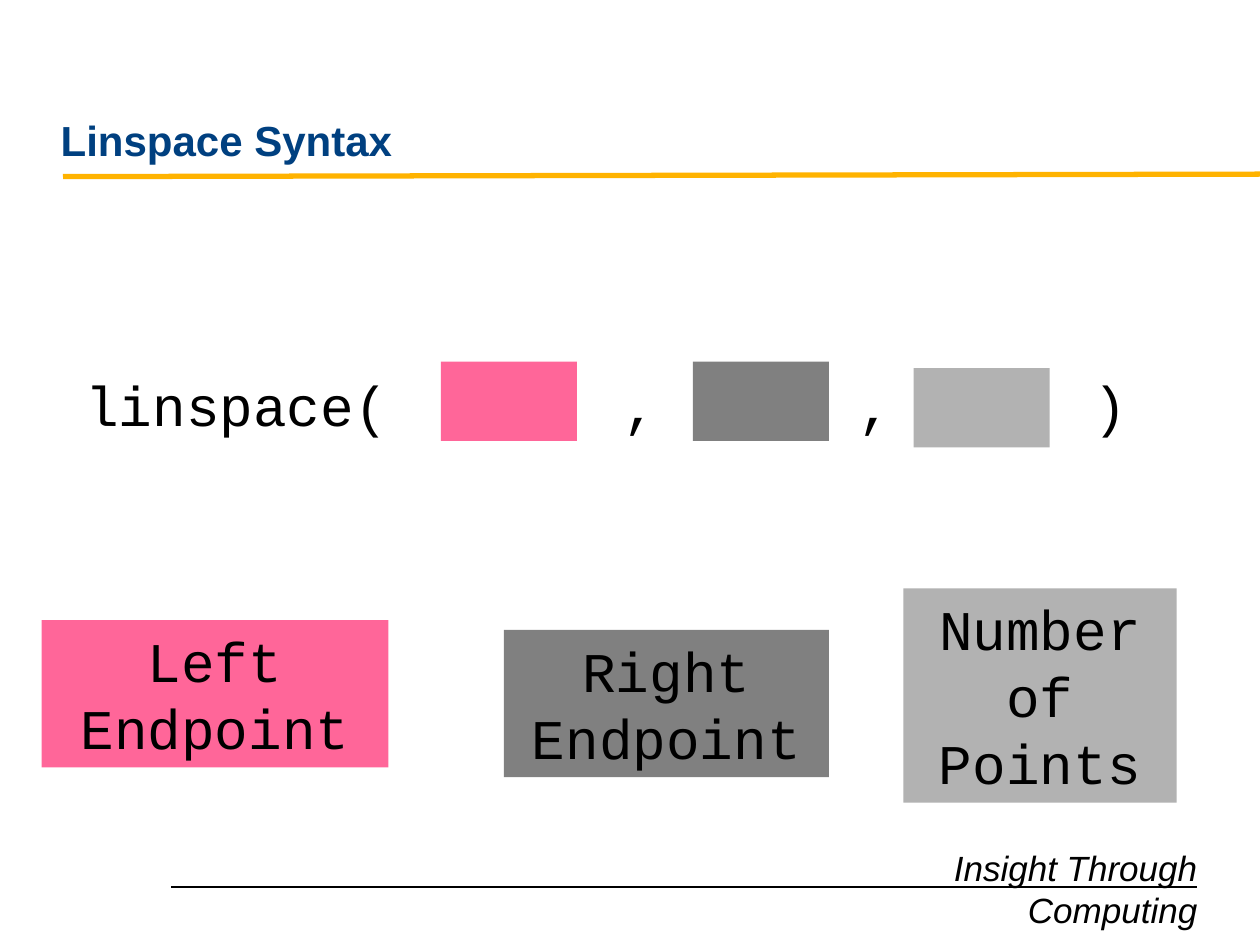
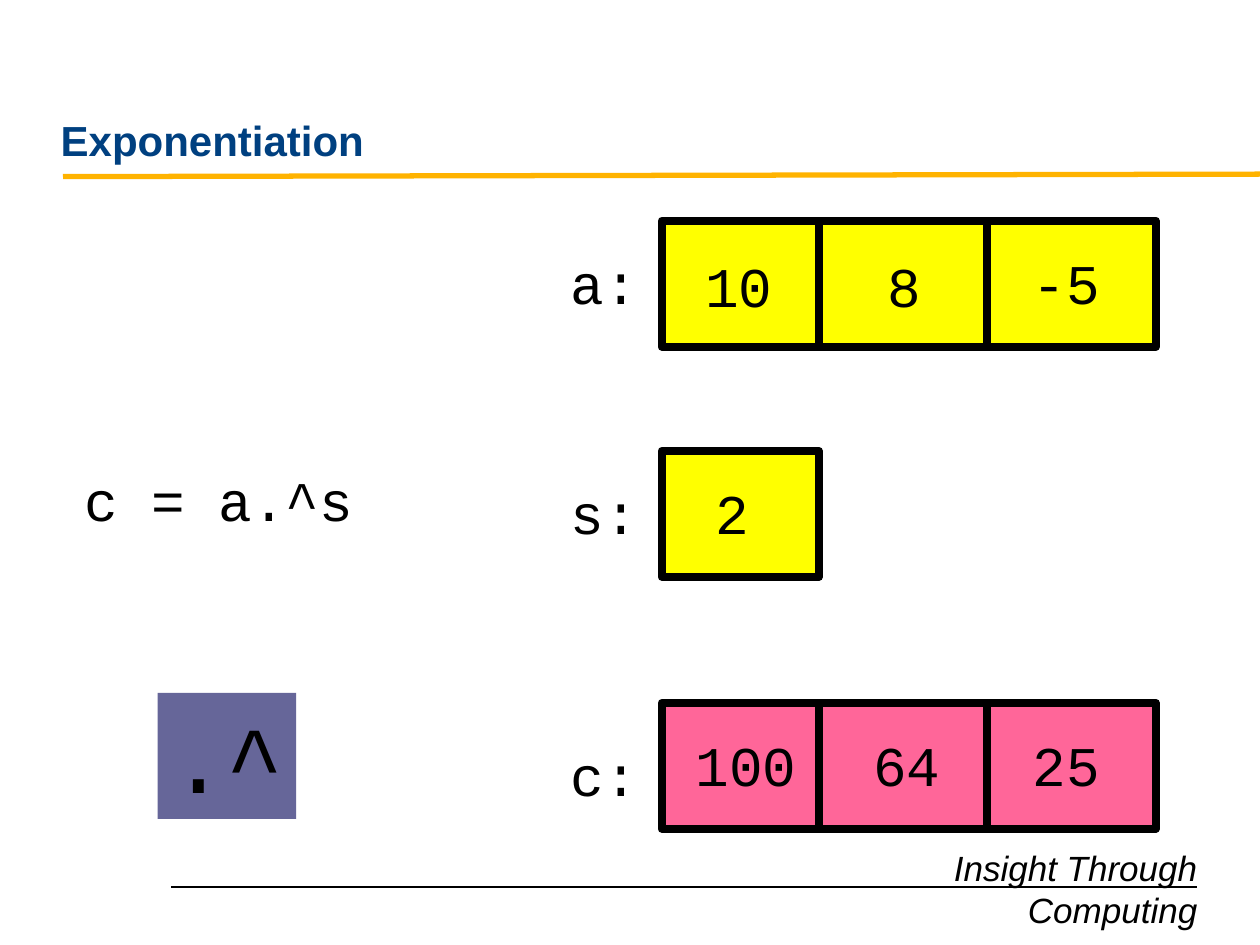
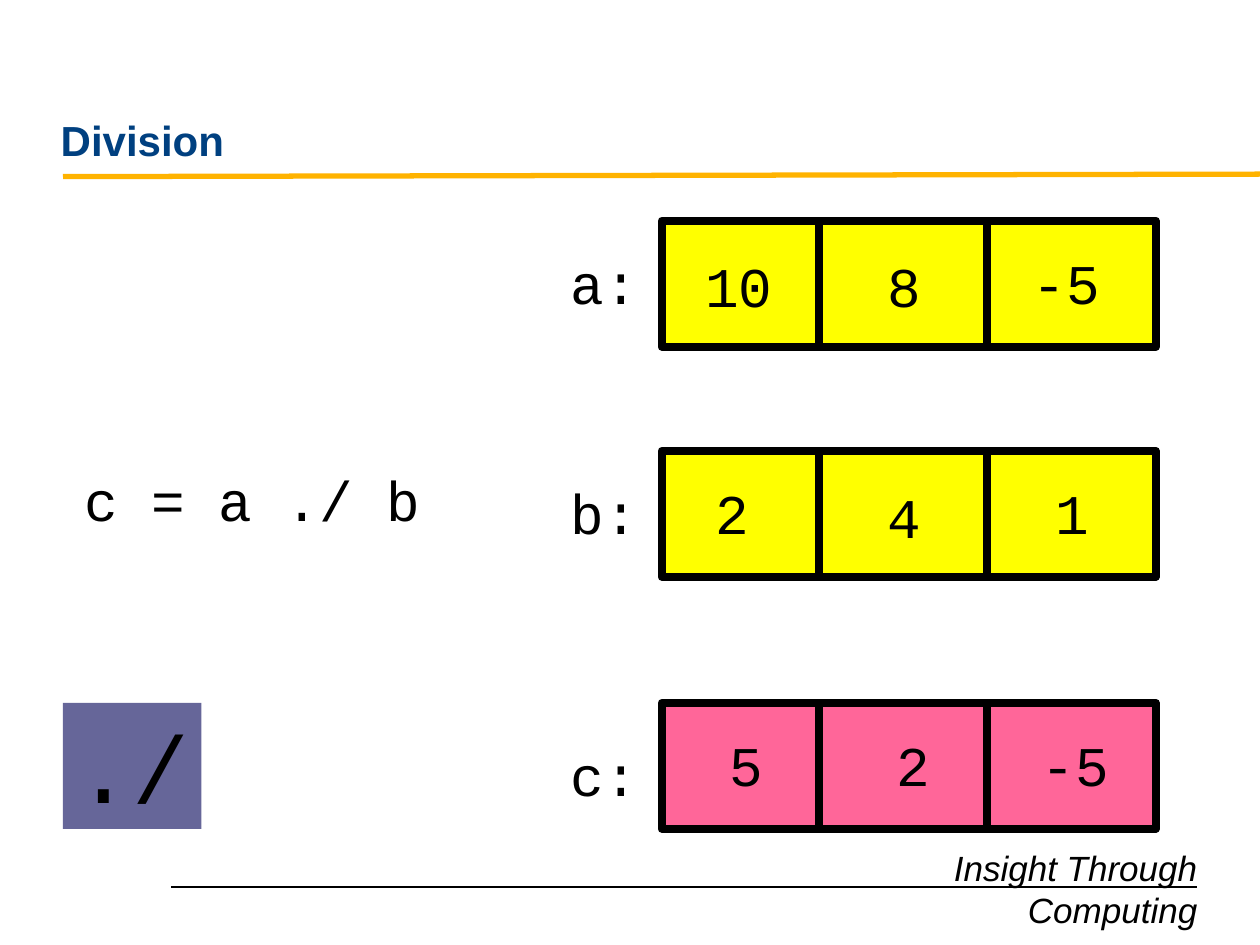
"""Build three slides on vector operations: linspace, exponentiation and division."""
import pptx
import pptx.dml.color
import pptx.enum.shapes
import pptx.enum.text
import pptx.oxml
import pptx.oxml.ns
import pptx.util
from lxml import etree

Cm = pptx.util.Cm
Pt = pptx.util.Pt
ANCHOR = pptx.enum.text.MSO_ANCHOR
ALIGN = pptx.enum.text.PP_ALIGN
COLORS = {
    name: pptx.dml.color.RGBColor.from_string(value)
    for name, value in {
        "text": "000000",
        "title": "004080",
        "band": "FFB300",
        "pink": "FF6699",
        "dark": "808080",
        "light": "B2B2B2",
        "yellow": "FFFF00",
        "operator": "666699",
    }.items()
}
CODE_FONT = "Courier New"
HEADING_FONT = "Arial"
CODE_HEIGHT = 1.6
ROW_LEFT, ROW_HEIGHT = 13.34, 2.54
CELL_EDGES = [16.51, 19.89, 23.3]


def add_box(shapes, left, top, width, height, text="", fill=None, border=None,
            size=32, font=CODE_FONT, italic=False, align=ALIGN.LEFT, wrap=True):
    """Add a text box, or a rectangle when a fill is given."""
    area = Cm(left), Cm(top), Cm(width), Cm(height)
    if fill:
        shape = shapes.add_shape(pptx.enum.shapes.MSO_SHAPE.RECTANGLE, *area)
        shape.shadow.inherit = False
        shape.fill.solid()
        shape.fill.fore_color.rgb = COLORS[fill]
        if border:
            shape.line.color.rgb = COLORS["text"]
            shape.line.width = Pt(border)
        else:
            shape.line.fill.background()
    else:
        shape = shapes.add_textbox(*area)
    if text:
        shape.text_frame.word_wrap = wrap
        shape.text_frame.vertical_anchor = ANCHOR.TOP
        paragraph = shape.text_frame.paragraphs[0]
        paragraph.alignment = align
        run = paragraph.add_run()
        run.text = text
        run.font.name = font
        run.font.size = Pt(size)
        run.font.italic = italic
        run.font.color.rgb = COLORS["text"]
    return shape


def add_line(shapes, start, end, color, width):
    """Add a straight line without a shadow."""
    line = shapes.add_connector(
        pptx.enum.shapes.MSO_CONNECTOR.STRAIGHT, *map(Cm, start + end))
    line.line.color.rgb = COLORS[color]
    line.line.width = Pt(width)
    etree.SubElement(line._element.spPr, pptx.oxml.ns.qn("a:effectLst"))


presentation = pptx.Presentation()
presentation.slide_width = Cm(25.4)
presentation.slide_height = Cm(19.05)

slides = []
for heading in ["Linspace Syntax", "Exponentiation", "Division"]:
    slide = presentation.slides.add_slide(presentation.slide_layouts[5])
    slides.append(slide)
    add_line(slide.shapes, (3.45, 17.88), (24.13, 17.88), "text", 0.75)
    add_line(slide.shapes, (1.27, 3.56), (25.4, 3.51), "band", 3)
    add_box(slide.shapes, 18.85, 16.94, 5.54, 0.97, "Insight Through Computing",
            size=20, font=HEADING_FONT, italic=True, align=ALIGN.RIGHT)
    title = slide.shapes.title
    title.left, title.top, title.width, title.height = map(Cm, (0.97, 1.12, 23.16, 2.34))
    title.text_frame.auto_size = pptx.enum.text.MSO_AUTO_SIZE.NONE
    title.text_frame.vertical_anchor = ANCHOR.BOTTOM
    paragraph = title.text_frame.paragraphs[0]
    paragraph.alignment = ALIGN.LEFT
    run = paragraph.add_run()
    run.text = heading
    run.font.name = HEADING_FONT
    run.font.size = Pt(24)
    run.font.bold = True
    run.font.color.rgb = COLORS["title"]

linspace_shapes = slides[0].shapes
call = add_box(linspace_shapes, 1.47, 7.34, 22.43, CODE_HEIGHT, "linspace(\t,\t,\t)")
properties = call.text_frame.paragraphs[0]._p.get_or_add_pPr()
tab_list = etree.SubElement(properties, pptx.oxml.ns.qn("a:tabLst"))
for position in [10.84, 15.58, 20.32]:
    etree.SubElement(tab_list, pptx.oxml.ns.qn("a:tab"), pos=str(Cm(position)), algn="l")

arguments = [
    ("Left Endpoint", "pink", (0.84, 12.5, 6.99, 2.97), (8.89, 7.29)),
    ("Right Endpoint", "dark", (10.16, 12.7, 6.55, 2.97), (13.97, 7.29)),
    ("Number of Points", "light", (18.21, 11.86, 5.51, 4.32), (18.42, 7.42)),
]
for name, fill, legend_area, slot_corner in arguments:
    add_box(linspace_shapes, *legend_area, name, fill, align=ALIGN.CENTER)
    add_box(linspace_shapes, *slot_corner, 2.74, CODE_HEIGHT, fill=fill)

row_a = ("a:", 4.45, 4.88, "yellow",
         [("10", 13.97, 4.95), ("8", 17.65, 4.95), ("-5", 20.57, 4.88)])
operations = [
    (slides[1], "c = a.^s", ".^", (3.18, 13.97), [
        row_a,
        ("s:", 9.09, 9.53, "yellow", [("2", 14.17, 9.53)]),
        ("c:", 14.17, 14.81, "pink",
         [("100", 13.77, 14.61), ("64", 17.35, 14.61), ("25", 20.57, 14.61)]),
    ]),
    (slides[2], "c = a ./ b", "./", (1.27, 14.17), [
        row_a,
        ("b:", 9.09, 9.53, "yellow",
         [("2", 14.17, 9.53), ("4", 17.65, 9.6), ("1", 21.03, 9.53)]),
        ("c:", 14.17, 14.81, "pink",
         [("5", 14.45, 14.61), ("2", 17.83, 14.61), ("-5", 20.75, 14.61)]),
    ]),
]
for slide, formula, operator, operator_corner, rows in operations:
    labels = [(formula, 1.45, 9.25)]
    for label, row_top, label_top, fill, values in rows:
        edges = CELL_EDGES[:len(values)]
        shapes = slide.shapes.add_group_shape().shapes if len(values) > 1 else slide.shapes
        add_box(shapes, ROW_LEFT, row_top, edges[-1] - ROW_LEFT, ROW_HEIGHT,
                fill=fill, border=4.5)
        for edge in edges[:-1]:
            add_line(shapes, (edge, row_top), (edge, row_top + ROW_HEIGHT), "text", 4.5)
        labels += values + [(label, 11.25, label_top)]
    for text, left, top in labels:
        add_box(slide.shapes, left, top, 0.51 + 0.68 * len(text), CODE_HEIGHT, text, wrap=False)
    add_box(slide.shapes, *operator_corner, 2.79, 2.54, operator, "operator",
            size=54, wrap=False)

presentation.save("out.pptx")
